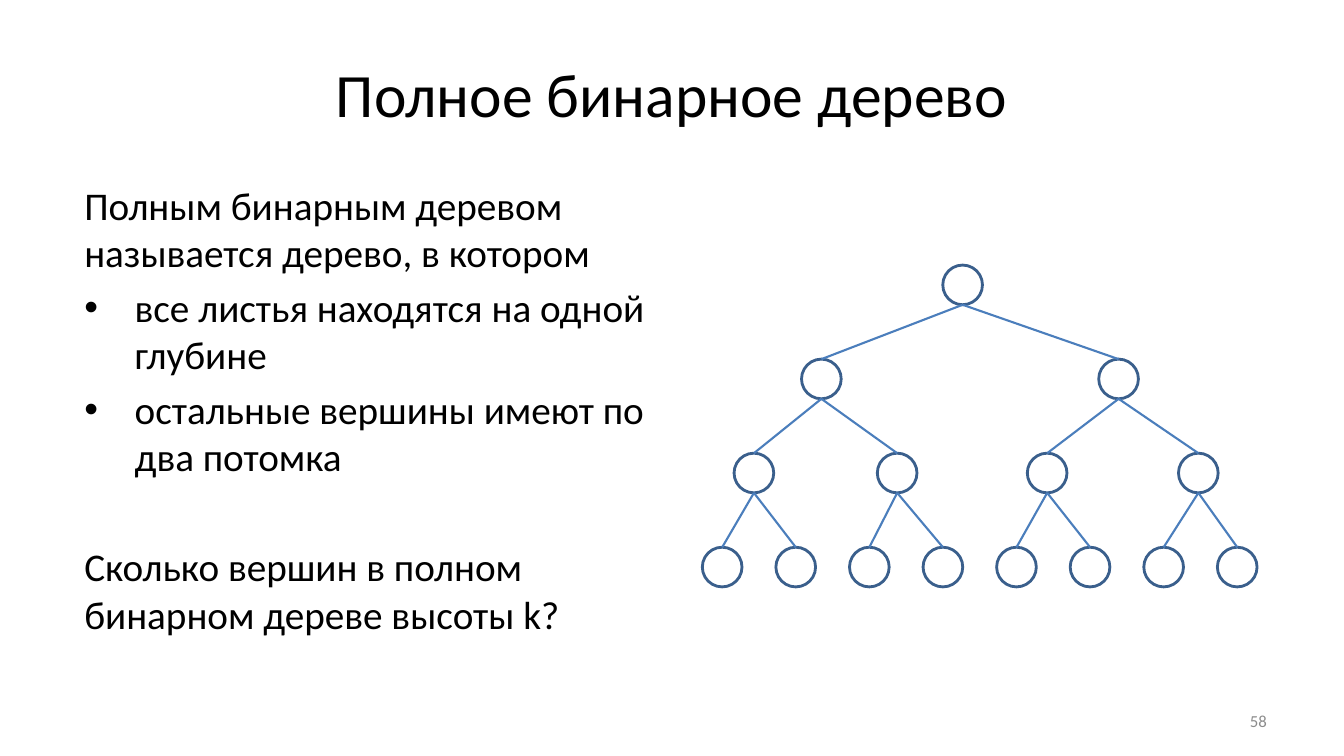
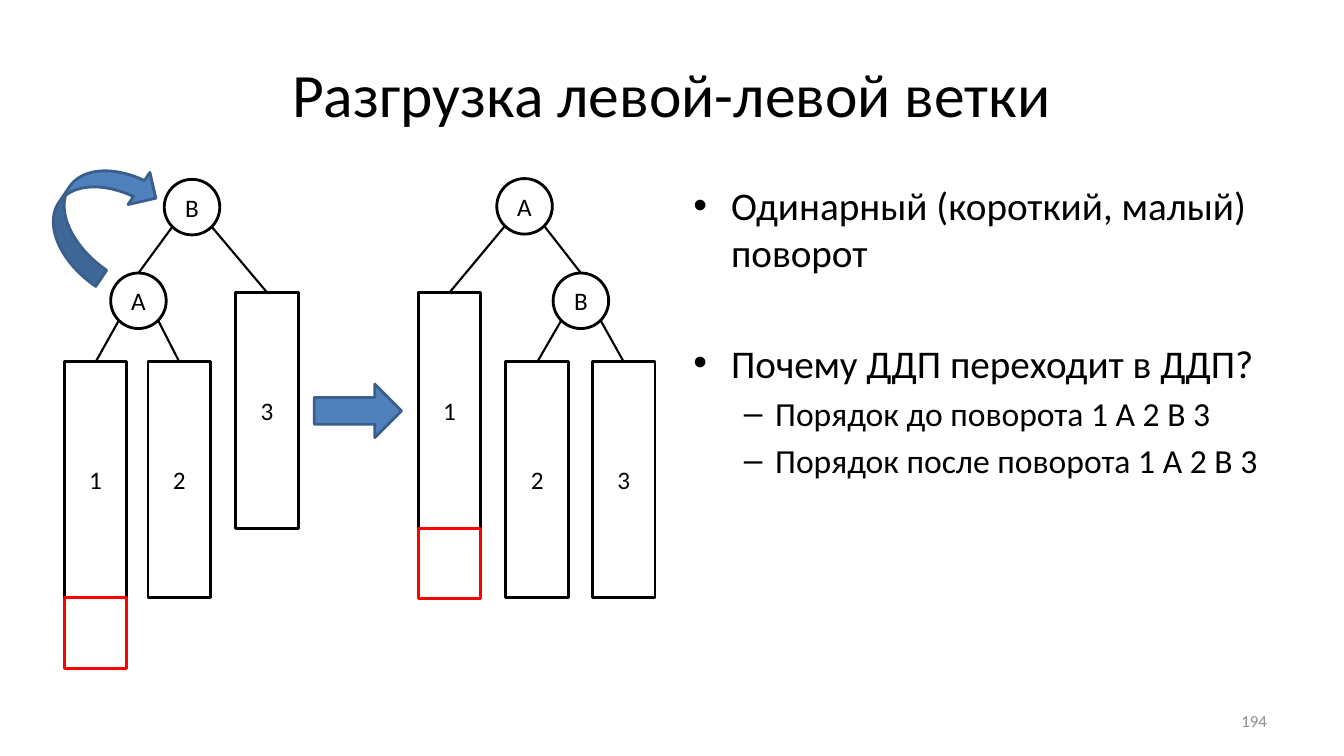
from pptx import Presentation
from pptx.dml import color
from pptx.enum import shapes, text
from pptx.oxml import xmlchemy
from pptx.util import Cm, Pt

FONT = "Calibri"
BLACK, GREY, RED = "000000", "8C8C8C", "FF0000"
BLUE, BLUE_EDGE, BLUE_LINE = "4F81BD", "3A5F8C", "4B7EBC"
OVAL, RECTANGLE = shapes.MSO_SHAPE.OVAL, shapes.MSO_SHAPE.RECTANGLE

# Content: paragraphs are (text, style, extra gap above)
TREE_TITLE, TREE_NUMBER = "Полное бинарное дерево", "58"
TREE_TEXT = [
    ("Полным бинарным деревом называется дерево, в котором", "plain", False),
    ("все листья находятся на одной глубине", "wide bullet", False),
    ("остальные вершины имеют по два потомка", "wide bullet", False),
    ("Сколько вершин в полном бинарном дереве высоты k?", "plain", True),
]
ROTATION_TITLE, ROTATION_NUMBER = "Разгрузка левой-левой ветки", "194"
ROTATION_TEXT = [
    ("Одинарный (короткий, малый) поворот", "bullet", False),
    ("Почему ДДП переходит в ДДП?", "bullet", True),
    ("Порядок до поворота 1 A 2 B 3", "dash", False),
    ("Порядок после поворота 1 A 2 B 3", "dash", False),
]

# Style: level, size, left margin and first-line indent in cm, bullet
STYLES = {
    "plain": (0, 28, 0.18, 0, None),
    "wide bullet": (0, 28, 1.45, -1.27, "•"),
    "bullet": (0, 28, 0.95, -0.95, "•"),
    "dash": (1, 24, 2.06, -0.79, "–"),
}
EXTRA_GAP = 45

# Complete tree: centres of each level, in cm
FIRST_LEAF, LAST_LEAF, LEAVES = 18.2, 31.18, 8
TREE_LEVELS = [
    [24.26],
    [20.7, 28.19],
    [19, 22.61, 26.39, 30.2],
    [FIRST_LEAF + i * (LAST_LEAF - FIRST_LEAF) / (LEAVES - 1) for i in range(LEAVES)],
]
TREE_TOP, LEVEL_STEP, VERTEX = 6.68, 2.37, 1

# Rotation: part -> (centre, top) in cm, and parent-child pairs
NODE, SUBTREE_WIDTH, SUBTREE_HEIGHT, GROWTH_HEIGHT = 1.4, 1.58, 5.94, 1.78
UPPER, LOWER = 7.37, 9.12
BEFORE = {"B": (4.84, 4.52), "A": (3.49, 6.88),
          "1": (2.41, LOWER), "2": (4.52, LOWER), "3": (6.73, UPPER)}
AFTER = {"A": (13.22, 4.5), "B": (14.64, 6.88),
         "1": (11.33, UPPER), "2": (13.54, LOWER), "3": (15.72, LOWER)}
BEFORE_EDGES = ["BA", "B3", "A1", "A2"]
AFTER_EDGES = ["A1", "AB", "B2", "B3"]


def rgb(value):
    return color.RGBColor.from_string(value)


def place(shape, left, top, width, height):
    shape.left, shape.top = Cm(left), Cm(top)
    shape.width, shape.height = Cm(width), Cm(height)


def add_outline(slide, kind, center, top, width, height, line, fill=None, label=""):
    shape = slide.shapes.add_shape(
        kind, Cm(center - width / 2), Cm(top), Cm(width), Cm(height))
    shape.shadow.inherit = False
    if fill:
        shape.fill.solid()
        shape.fill.fore_color.rgb = rgb(fill)
    else:
        shape.fill.background()
    shape.line.color.rgb = rgb(line)
    shape.line.width = Pt(2)
    if label:
        frame = shape.text_frame
        frame.margin_left = frame.margin_right = 0
        frame.margin_top = frame.margin_bottom = 0
        write(frame.paragraphs[0], label, 18, BLACK, text.PP_ALIGN.CENTER)
    return shape


def add_edge(slide, x, y, child, line):
    """Line from a point on the parent to the top middle of the child."""
    edge = slide.shapes.add_connector(
        shapes.MSO_CONNECTOR.STRAIGHT, Cm(x), Cm(y), Cm(x), Cm(y))
    edge.end_connect(child, 0)
    edge.line.color.rgb = rgb(line)
    edge.line.width = Pt(1.5)
    add_element(edge.element.spPr, "a:effectLst")


def add_element(parent, tag, **attributes):
    element = xmlchemy.OxmlElement(tag)
    for name, value in attributes.items():
        element.set(name, value)
    parent.append(element)


def write(paragraph, words, size, ink, alignment=None):
    paragraph.text = words
    paragraph.alignment = alignment
    font = paragraph.font
    font.name, font.size = FONT, Pt(size)
    font.color.rgb = rgb(ink)


def fill_body(body, left, paragraphs):
    place(body, left, 4.45, 14.96, 12.57)
    frame = body.text_frame
    frame.auto_size = text.MSO_AUTO_SIZE.NONE
    for i, (words, style, gap) in enumerate(paragraphs):
        paragraph = frame.paragraphs[0] if i == 0 else frame.add_paragraph()
        level, size, margin, indent, bullet = STYLES[style]
        paragraph.level = level
        properties = paragraph._p.get_or_add_pPr()
        properties.set("marL", str(Cm(margin)))
        properties.set("indent", str(Cm(indent)))
        if bullet:
            add_element(properties, "a:buChar", char=bullet)
        else:
            add_element(properties, "a:buNone")
        if gap:
            paragraph.space_before = Pt(EXTRA_GAP)
        write(paragraph, words, size, BLACK)


def add_slide(presentation, title, number, body_left, paragraphs):
    slide = presentation.slides.add_slide(presentation.slide_layouts[1])
    place(slide.shapes.title, 1.69, 0.76, 30.48, 3.18)
    write(slide.shapes.title.text_frame.paragraphs[0], title, 44, BLACK,
          text.PP_ALIGN.CENTER)
    fill_body(slide.placeholders[1], body_left, paragraphs)
    # Slide number
    box = slide.shapes.add_textbox(Cm(24.28), Cm(17.65), Cm(7.9), Cm(1.02))
    box.text_frame.word_wrap = True
    box.text_frame.vertical_anchor = text.MSO_ANCHOR.MIDDLE
    write(box.text_frame.paragraphs[0], number, 12, GREY, text.PP_ALIGN.RIGHT)
    return slide


def draw_complete_tree(slide):
    for depth, centers in enumerate(TREE_LEVELS):
        top = TREE_TOP + depth * LEVEL_STEP
        for i, center in enumerate(centers):
            vertex = add_outline(slide, OVAL, center, top, VERTEX, VERTEX, BLUE_EDGE)
            if depth:
                parent = TREE_LEVELS[depth - 1][i // 2]
                add_edge(slide, parent, top - LEVEL_STEP + VERTEX, vertex, BLUE_LINE)


def draw_search_tree(slide, parts, edges):
    drawn = {}
    for label, (center, top) in parts.items():
        if label.isdigit():
            look = RECTANGLE, center, top, SUBTREE_WIDTH, SUBTREE_HEIGHT
        else:
            look = OVAL, center, top, NODE, NODE
        drawn[label] = add_outline(slide, *look, BLACK, label=label)
    # Edges leave a node at its lower diagonal points
    diagonal = NODE / 2 * 0.71
    for parent, child in edges:
        center, top = parts[parent]
        side = 1 if parts[child][0] > center else -1
        add_edge(slide, center + side * diagonal, top + NODE / 2 + diagonal,
                 drawn[child], BLACK)
    # Extra level under subtree 1
    center, top = parts["1"]
    add_outline(slide, RECTANGLE, center, top + SUBTREE_HEIGHT,
                SUBTREE_WIDTH, GROWTH_HEIGHT, RED)


def main():
    presentation = Presentation()
    presentation.slide_width, presentation.slide_height = Cm(33.87), Cm(19.05)

    slide = add_slide(presentation, TREE_TITLE, TREE_NUMBER, 1.69, TREE_TEXT)
    draw_complete_tree(slide)

    slide = add_slide(presentation, ROTATION_TITLE, ROTATION_NUMBER, 17.22, ROTATION_TEXT)
    draw_search_tree(slide, BEFORE, BEFORE_EDGES)
    draw_search_tree(slide, AFTER, AFTER_EDGES)
    add_outline(slide, shapes.MSO_SHAPE.RIGHT_ARROW, 9.02, 9.68, 2.2, 1.35,
                BLUE_EDGE, BLUE)
    turn = add_outline(slide, shapes.MSO_SHAPE.CURVED_DOWN_ARROW, 2.5, 4.37, 3.18, 1.96,
                       BLUE_EDGE, BLUE)
    turn.rotation = 304.3

    presentation.save("out.pptx")


if __name__ == "__main__":
    main()
